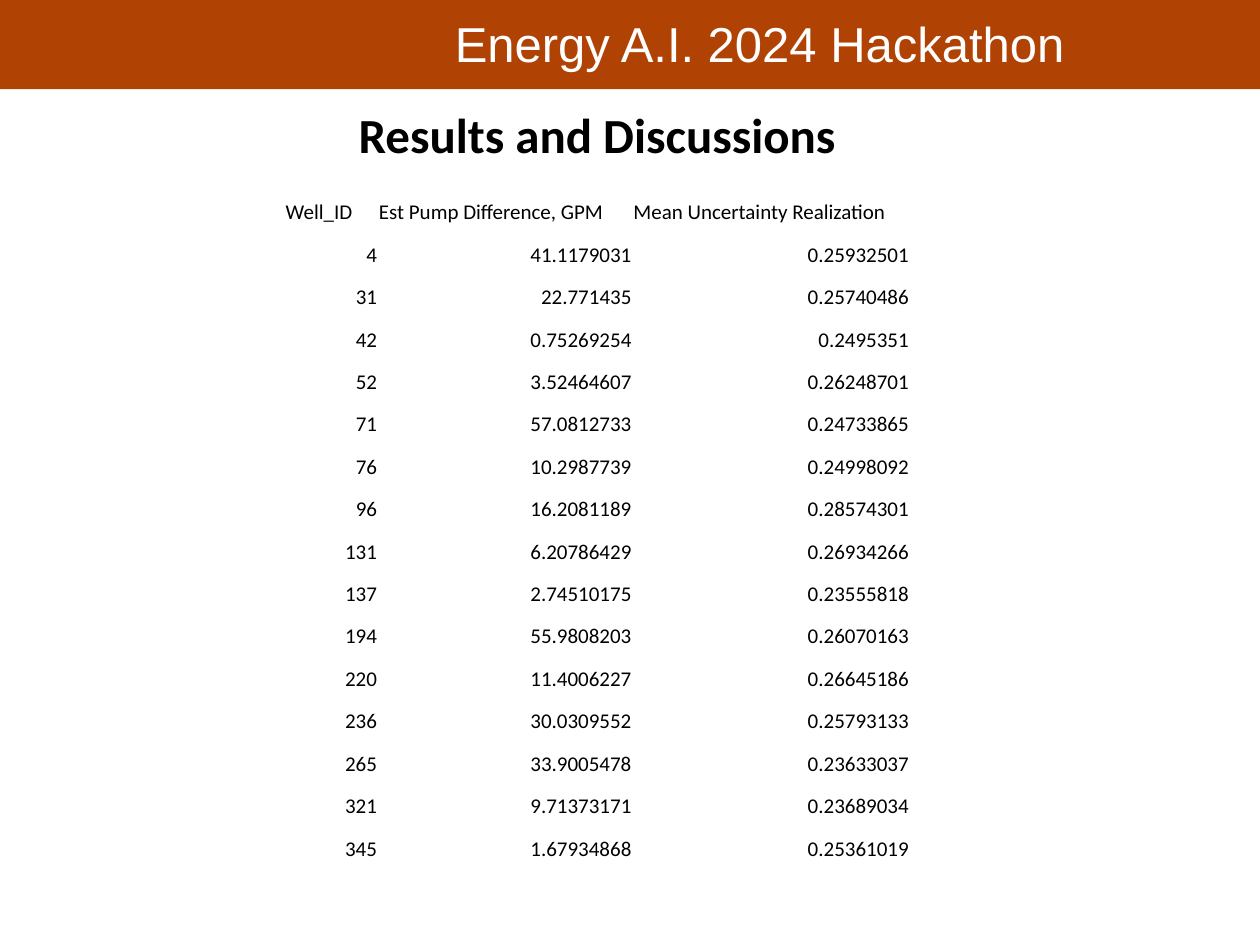
from pptx import Presentation
from pptx.dml.color import RGBColor
from pptx.enum.shapes import MSO_SHAPE
from pptx.enum.text import MSO_ANCHOR, PP_ALIGN
from pptx.util import Cm, Pt

RECTANGLE = MSO_SHAPE.RECTANGLE
BOTTOM = MSO_ANCHOR.BOTTOM
LEFT, CENTER, RIGHT = PP_ALIGN.LEFT, PP_ALIGN.CENTER, PP_ALIGN.RIGHT

HEADINGS = ("Well_ID", "Est Pump Difference, GPM", "Mean Uncertainty Realization")
WELLS = [
    ("4", "41.1179031", "0.25932501"),
    ("31", "22.771435", "0.25740486"),
    ("42", "0.75269254", "0.2495351"),
    ("52", "3.52464607", "0.26248701"),
    ("71", "57.0812733", "0.24733865"),
    ("76", "10.2987739", "0.24998092"),
    ("96", "16.2081189", "0.28574301"),
    ("131", "6.20786429", "0.26934266"),
    ("137", "2.74510175", "0.23555818"),
    ("194", "55.9808203", "0.26070163"),
    ("220", "11.4006227", "0.26645186"),
    ("236", "30.0309552", "0.25793133"),
    ("265", "33.9005478", "0.23633037"),
    ("321", "9.71373171", "0.23689034"),
    ("345", "1.67934868", "0.25361019"),
]


def color(hex_code):
    return RGBColor.from_string(hex_code)


class SlideBuilder:
    BANNER, INK, WHITE = "B04304", "000000", "FFFFFF"
    BODY_FONT, BANNER_FONT = "Calibri", "Arial"
    TITLE_SIZE, TABLE_SIZE = 28, 12

    def __init__(self, slide):
        self.slide = slide

    def set_text(self, paragraph, text, size, font, ink, align=LEFT, bold=False):
        paragraph.text = text
        paragraph.alignment = align
        paragraph.font.size = Pt(size)
        paragraph.font.name = font
        paragraph.font.bold = bold
        paragraph.font.color.rgb = color(ink)

    def band(self, left, top, width, height, fill):
        band = self.slide.shapes.add_shape(
            RECTANGLE, Cm(left), Cm(top), Cm(width), Cm(height))
        band.shadow.inherit = False
        band.fill.solid()
        band.fill.fore_color.rgb = color(fill)
        band.line.fill.background()

    def title(self, left, top, width, height, text, font, ink, **style):
        box = self.slide.shapes.add_textbox(
            Cm(left), Cm(top), Cm(width), Cm(height))
        box.text_frame.word_wrap = True
        self.set_text(box.text_frame.paragraphs[0], text, self.TITLE_SIZE, font, ink, **style)

    def table(self, left, top, height, column_widths, row_height, rows):
        frame = self.slide.shapes.add_table(
            len(rows), len(column_widths), Cm(left), Cm(top),
            Cm(sum(column_widths)), Cm(height))
        table = frame.table
        table.first_row = table.horz_banding = False
        for column, width in zip(table.columns, column_widths):
            column.width = Cm(width)
        # Rows start low and grow to fit their text
        for row in table.rows:
            row.height = Cm(row_height)
        frame.height = Cm(height)
        for r, texts in enumerate(rows):
            for c, text in enumerate(texts):
                self.cell(table.cell(r, c), text, heading=r == 0)

    def cell(self, cell, text, heading):
        cell.fill.background()
        cell.vertical_anchor = BOTTOM
        cell.margin_left = cell.margin_right = cell.margin_top = Cm(0.02)
        cell.margin_bottom = Cm(0.25)
        paragraph = cell.text_frame.paragraphs[0]
        self.set_text(paragraph, text, self.TABLE_SIZE, self.BODY_FONT, self.INK,
                      align=LEFT if heading else RIGHT)
        if not heading:
            paragraph.line_spacing = 1.15


def main():
    deck = Presentation()
    deck.slide_width, deck.slide_height = Cm(25.4), Cm(19.05)
    page = SlideBuilder(deck.slides.add_slide(deck.slide_layouts[6]))

    # Event banner
    page.band(0, -0.02, 25.4, 1.82, page.BANNER)
    page.title(8.92, 0.15, 13.23, 1.45, "Energy A.I. 2024 Hackathon",
               page.BANNER_FONT, page.WHITE)

    # Section title
    page.title(5.05, 1.98, 13.97, 3.68, "Results and Discussions",
               page.BODY_FONT, page.INK, align=CENTER, bold=True)

    # Results per well
    page.table(5.74, 4.01, 13.23, (1.88, 5.13, 5.59), 0.56, [HEADINGS, *WELLS])

    deck.save("out.pptx")


if __name__ == "__main__":
    main()
